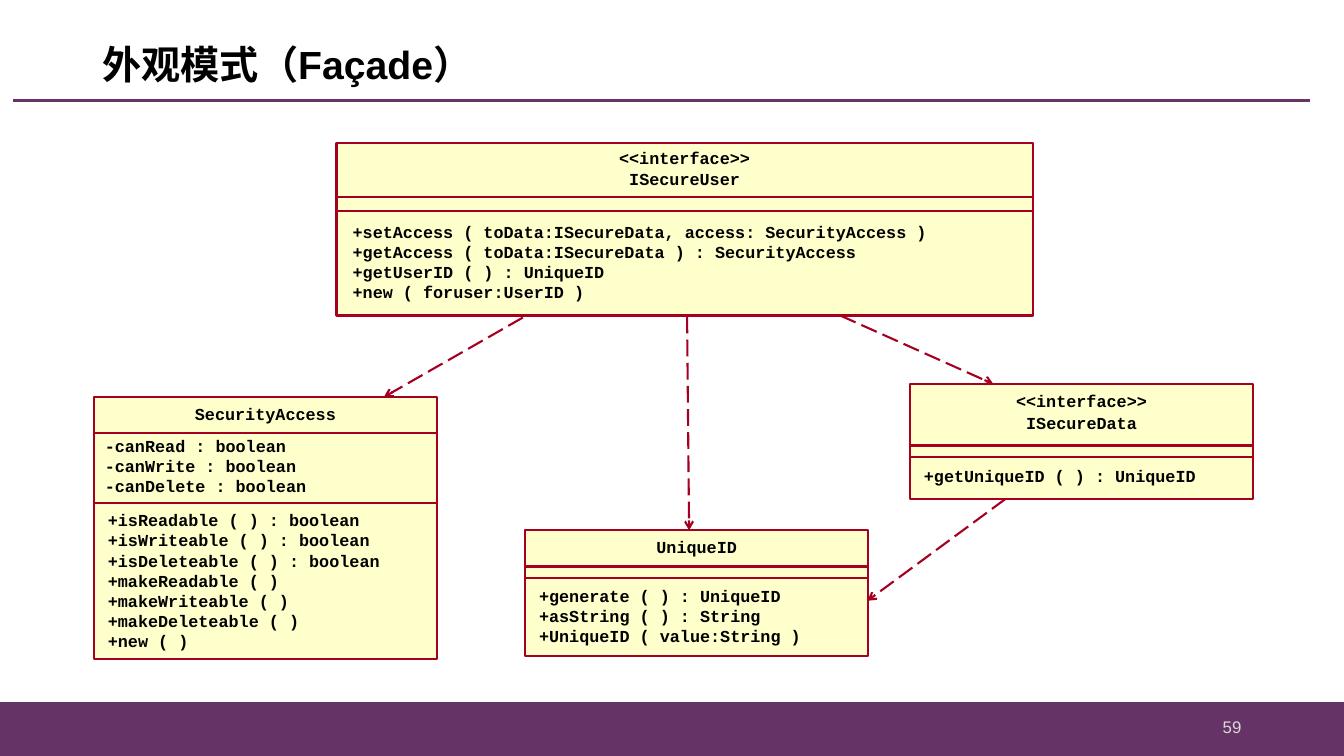
from lxml import etree
from pptx import Presentation
from pptx.dml.color import RGBColor
from pptx.enum.dml import MSO_LINE
from pptx.enum.shapes import MSO_CONNECTOR, MSO_SHAPE
from pptx.enum.text import MSO_ANCHOR as ANCHOR, PP_ALIGN as ALIGN
from pptx.oxml.ns import qn
from pptx.util import Inches, Pt

PURPLE = RGBColor(0x66, 0x33, 0x66)
CRIMSON = RGBColor(0xA5, 0x00, 0x21)
CREAM = RGBColor(0xFF, 0xFF, 0xCC)
BLACK = RGBColor(0x00, 0x00, 0x00)
PALE_GREY = RGBColor(0xD9, 0xD9, 0xD9)

# The grid has square cells: 133.4 columns by 75 rows
COLUMNS, ROWS = 133.4, 75
CELL = Inches(0.1)

TITLE_FONT = {"name": "Arial", "size": Pt(28), "bold": True}
NUMBER_FONT = {"name": "Arial", "size": Pt(12)}
CODE_FONT = {"name": "Courier New", "size": Pt(12), "bold": True}

TITLE_FRAME = {"vertical_anchor": ANCHOR.MIDDLE}
HEADER_FRAME = {"vertical_anchor": ANCHOR.TOP}
MEMBER_FRAME = {"vertical_anchor": ANCHOR.TOP, "margin_left": 0,
                "margin_right": 0, "margin_top": Inches(0.01)}

# Box and member areas: left, top, width, height; dividers: rows
CLASSES = [
    {"box": (33.4, 14.2, 69.1, 17.1), "spacing": 1.0,
     "header": ["<<interface>>", "ISecureUser"],
     "dividers": (19.5, 20.9),
     "members": [((35, 21.9, 65.9, 8.4), [
         "+setAccess ( toData:ISecureData, access: SecurityAccess )",
         "+getAccess ( toData:ISecureData ) : SecurityAccess",
         "+getUserID ( ) : UniqueID",
         "+new ( foruser:UserID )"])]},
    {"box": (52.1, 52.6, 34.1, 12.5), "spacing": 1.1,
     "header": ["UniqueID"],
     "dividers": (56.2, 57.3),
     "members": [((53.5, 58, 31.2, 6.4), [
         "+generate ( ) : UniqueID",
         "+asString ( ) : String",
         "+UniqueID ( value:String )"])]},
    {"box": (90.3, 38.1, 34.1, 11.4), "spacing": 1.1,
     "header": ["<<interface>>", "ISecureData"],
     "dividers": (44.2, 45.3),
     "members": [((91.7, 46.1, 31.2, 2.6), ["+getUniqueID ( ) : UniqueID"])]},
    {"box": (9.3, 39.4, 34.1, 26), "spacing": 1.1,
     "header": ["SecurityAccess"],
     "dividers": (43, 49.9),
     "members": [
         ((10.7, 50.5, 31.2, 14.1), [
             "+isReadable ( ) : boolean",
             "+isWriteable ( ) : boolean",
             "+isDeleteable ( ) : boolean",
             "+makeReadable ( )",
             "+makeWriteable ( )",
             "+makeDeleteable ( )",
             "+new ( )"]),
         ((10.4, 43.1, 31.2, 6.4), [
             "-canRead : boolean",
             "-canWrite : boolean",
             "-canDelete : boolean"])]},
]

DEPENDENCIES = [
    ((51.9, 31.5), (38.1, 39.4)),
    ((68.2, 31.4), (68.4, 52.6)),
    ((83.4, 31.3), (98.6, 38.1)),
    ((99.8, 49.5), (86.1, 59.6)),
]


def cells(*counts):
    return [round(count * CELL) for count in counts]


def write(shape, lines, font, color, alignment, frame_format, spacing=1.0):
    frame = shape.text_frame
    frame.word_wrap = True
    for name, value in frame_format.items():
        setattr(frame, name, value)
    for index, line in enumerate(lines):
        paragraph = frame.add_paragraph() if index else frame.paragraphs[0]
        paragraph.text = line
        paragraph.alignment = alignment
        paragraph.line_spacing = spacing
        for name, value in font.items():
            setattr(paragraph.font, name, value)
        paragraph.font.color.rgb = color


def add_text(shapes, area, *text_format):
    write(shapes.add_textbox(*cells(*area)), *text_format)


def add_rectangle(shapes, area, fill, outline, width):
    shape = shapes.add_shape(MSO_SHAPE.RECTANGLE, *cells(*area))
    shape.shadow.inherit = False
    shape.fill.solid()
    shape.fill.fore_color.rgb = fill
    shape.line.color.rgb = outline
    shape.line.width = Pt(width)
    return shape


def add_line(shapes, start, end, color, width):
    line = shapes.add_connector(MSO_CONNECTOR.STRAIGHT, *cells(*start, *end))
    line.line.color.rgb = color
    line.line.width = Pt(width)
    etree.SubElement(line._element.spPr, qn("a:effectLst"))
    return line


def add_dependency(shapes, start, end):
    arrow = add_line(shapes, start, end, CRIMSON, 1.5)
    arrow.line.dash_style = MSO_LINE.LONG_DASH
    etree.SubElement(arrow.line._get_or_add_ln(), qn("a:tailEnd"), type="arrow")


def add_class(slide, box, spacing, header, dividers, members):
    shapes = slide.shapes.add_group_shape().shapes
    rectangle = add_rectangle(shapes, box, CREAM, CRIMSON, 1.5)
    write(rectangle, header, CODE_FONT, BLACK, ALIGN.CENTER, HEADER_FRAME, spacing)
    left, right = box[0], box[0] + box[2]
    for row in dividers:
        add_line(shapes, (left + 0.1, row), (right, row), CRIMSON, 1.5)
    for area, lines in members:
        add_text(shapes, area, lines, CODE_FONT, BLACK, ALIGN.JUSTIFY, MEMBER_FRAME)


def main():
    presentation = Presentation()
    presentation.slide_width, presentation.slide_height = cells(COLUMNS, ROWS)
    slide = presentation.slides.add_slide(presentation.slide_layouts[6])

    # Footer band, title and page number
    add_rectangle(slide.shapes, (0, 69.7, COLUMNS, ROWS - 69.7), PURPLE, PURPLE, 1)
    add_line(slide.shapes, (1.3, 10), (130, 10), PURPLE, 2.25)
    add_text(slide.shapes, (9.2, 3, 115, 7.3), ["外观模式（Façade）"],
             TITLE_FONT, BLACK, ALIGN.LEFT, TITLE_FRAME, 0.9)
    add_text(slide.shapes, (94.2, 70.1, 30, 4), ["59"],
             NUMBER_FONT, PALE_GREY, ALIGN.RIGHT, TITLE_FRAME)

    # Class diagram
    for parts in CLASSES:
        add_class(slide, **parts)
    for start, end in DEPENDENCIES:
        add_dependency(slide.shapes, start, end)

    presentation.save("out.pptx")


if __name__ == "__main__":
    main()
